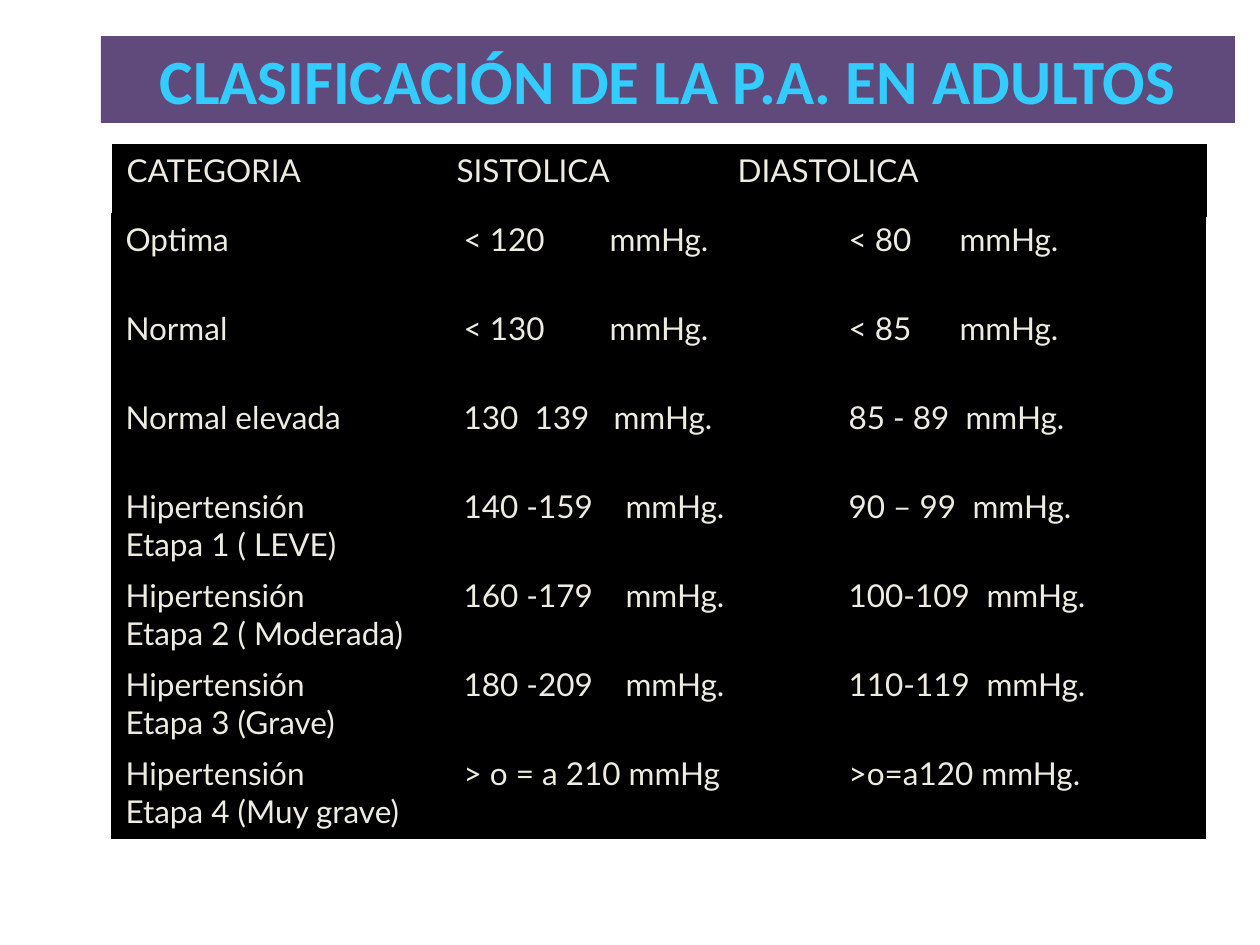
from dataclasses import dataclass

import lxml.etree
import pptx
import pptx.dml.color
import pptx.enum.text
import pptx.oxml.ns
import pptx.util

EMU_PER_PX = 914400 / 126
COLORS = {"banner": "604A7B", "title": "33CCFF", "table": "000000", "text": "EEECE1"}


@dataclass
class Entry:
    text: str
    tab: int = 0


@dataclass
class Grid:
    left: int
    top: int
    columns: list[int]
    row_height: int
    rows: list[list[Entry]]


def px(length: int) -> pptx.util.Emu:
    return pptx.util.Emu(round(length * EMU_PER_PX))


def rgb(name: str) -> pptx.dml.color.RGBColor:
    return pptx.dml.color.RGBColor.from_string(COLORS[name])


def add_child(parent, tag: str, **attributes: str):
    return lxml.etree.SubElement(parent, pptx.oxml.ns.qn(tag), **attributes)


def add_borders(cell, widths: dict[str, float]) -> None:
    properties = cell._tc.get_or_add_tcPr()
    for position, (side, width) in enumerate(widths.items()):
        line = add_child(properties, f"a:ln{side}", w=str(pptx.util.Pt(width)))
        add_child(add_child(line, "a:solidFill"), "a:srgbClr", val=COLORS["table"])
        properties.remove(line)
        properties.insert(position, line)


def fill_cell(cell, entry: Entry) -> None:
    cell.fill.solid()
    cell.fill.fore_color.rgb = rgb("table")
    cell.text_frame.text = entry.text
    for para in cell.text_frame.paragraphs:
        if entry.tab:
            stops = add_child(para._p.get_or_add_pPr(), "a:tabLst")
            add_child(stops, "a:tab", pos=str(px(entry.tab)), algn="l")
        para.font.name = "Lato"
        para.font.size = pptx.util.Pt(18)
        para.font.color.rgb = rgb("text")


def draw_grid(page, grid: Grid) -> None:
    row_count, column_count = len(grid.rows), len(grid.columns)
    table = page.shapes.add_table(
        row_count, column_count, px(grid.left), px(grid.top),
        px(sum(grid.columns)), px(grid.row_height * row_count),
    ).table
    table.first_row = table.horz_banding = False
    for column, width in zip(table.columns, grid.columns):
        column.width = px(width)
    for row_index, entries in enumerate(grid.rows):
        table.rows[row_index].height = px(grid.row_height)
        for column_index, entry in enumerate(entries):
            cell = table.cell(row_index, column_index)
            fill_cell(cell, entry)
            add_borders(cell, {
                "L": 2.25 if column_index == 0 else 1,
                "R": 2.25 if column_index == column_count - 1 else 1,
                "T": 1,
                "B": 2.25 if row_index == row_count - 1 else 1,
            })


def draw_title(page, text: str) -> None:
    title = page.shapes.title
    title.left, title.top, title.width, title.height = map(px, (101, 36, 1134, 87))
    title.fill.solid()
    title.fill.fore_color.rgb = rgb("banner")
    frame = title.text_frame
    frame.text = text
    frame.word_wrap = True
    frame.auto_size = pptx.enum.text.MSO_AUTO_SIZE.NONE
    frame.vertical_anchor = pptx.enum.text.MSO_ANCHOR.MIDDLE
    para = frame.paragraphs[0]
    para.alignment = pptx.enum.text.PP_ALIGN.CENTER
    para.font.name = "Calibri"
    para.font.size = pptx.util.Pt(36)
    para.font.bold = True
    para.font.color.rgb = rgb("title")


LEVELS = Grid(113, 214, [338, 385, 368], 89, [
    [Entry("Optima"), Entry("< 120\tmmHg.", 146), Entry("< 80\tmmHg.", 111)],
    [Entry("Normal"), Entry("< 130\tmmHg.", 146), Entry("< 85\tmmHg.", 111)],
    [Entry("Normal elevada"), Entry("130  139\tmmHg.", 150), Entry("85 - 89\tmmHg.", 117)],
    [Entry("Hipertensión\nEtapa 1 ( LEVE)"), Entry("140 -159\tmmHg.", 162),
     Entry("90 – 99\tmmHg.", 124)],
    [Entry("Hipertensión\nEtapa 2 ( Moderada)"), Entry("160 -179\tmmHg.", 162),
     Entry("100-109\tmmHg.", 138)],
    [Entry("Hipertensión\nEtapa 3 (Grave)"), Entry("180 -209\tmmHg.", 162),
     Entry("110-119\tmmHg.", 138)],
    [Entry("Hipertensión\nEtapa 4 (Muy grave)"), Entry("> o = a 210 mmHg"),
     Entry(">o=a120 mmHg.")],
])
HEADINGS = Grid(114, 145, [330, 761], 70, [
    [Entry("CATEGORIA"), Entry("SISTOLICA\tDIASTOLICA", 281)],
])


def main() -> None:
    deck = pptx.Presentation()
    deck.slide_width, deck.slide_height = px(1260), px(945)
    page = deck.slides.add_slide(deck.slide_layouts[5])
    draw_title(page, "CLASIFICACIÓN DE LA P.A. EN ADULTOS")
    for grid in (LEVELS, HEADINGS):
        draw_grid(page, grid)
    deck.save("out.pptx")


if __name__ == "__main__":
    main()
